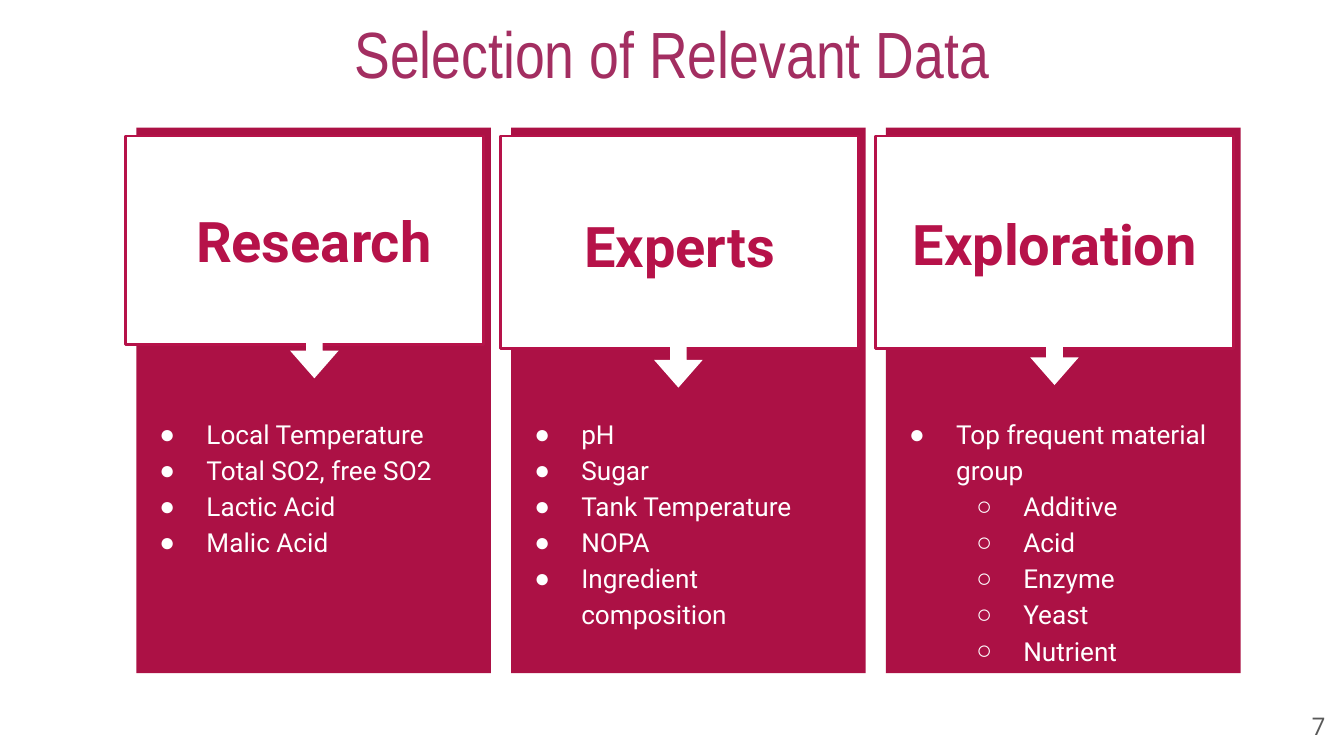
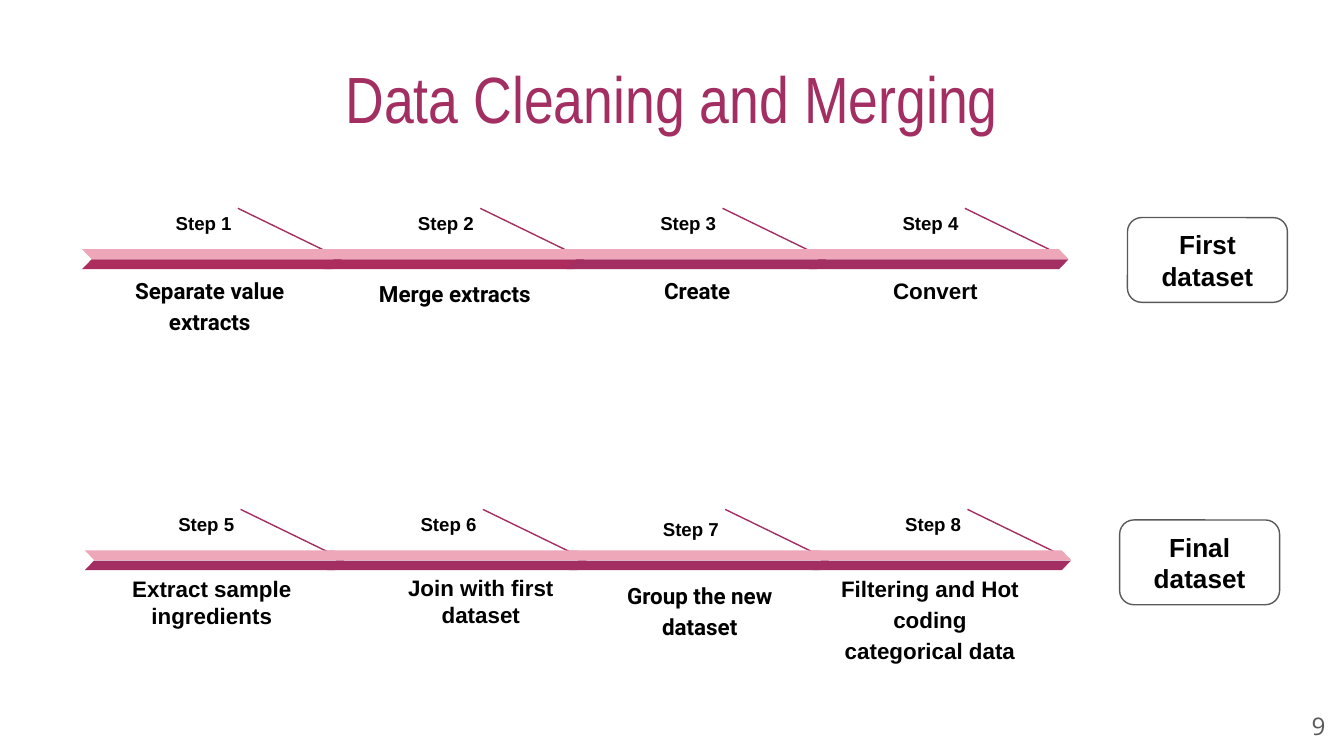
from typing import NamedTuple

from lxml.etree import SubElement
from pptx import Presentation
from pptx.dml.color import RGBColor
from pptx.enum.shapes import MSO_CONNECTOR, MSO_SHAPE
from pptx.enum.text import MSO_ANCHOR, MSO_AUTO_SIZE, PP_ALIGN
from pptx.oxml.ns import qn
from pptx.util import Pt


class Theme:
    PLUM = "A32E61"
    ROSE = "AB2C5D"
    PINK = "EEA7B8"
    WINE = "AC1145"
    CRIMSON = "B61249"
    GRAY = "595959"
    WHITE = "FFFFFF"
    BLACK = "000000"
    TITLE = dict(name="Arial Narrow", size=Pt(35), color=PLUM)
    NUMBER = dict(name="Open Sans", size=Pt(13), color=GRAY)
    CARD_HEAD = dict(name="Roboto", size=Pt(30), bold=True, color=CRIMSON)
    CARD_LIST = dict(name="Roboto", size=Pt(14), bold=False, color=WHITE)
    STEP_LABEL = dict(name="Arial", size=Pt(10), bold=True, color=BLACK)
    CAPTION = dict(name="Arial", size=Pt(12), bold=True, color=BLACK)
    ROBOTO_CAPTION = CAPTION | dict(name="Roboto")
    RESULT = dict(name="Arial", size=Pt(14), bold=True, color=BLACK)


class Box(NamedTuple):
    left: float
    top: float
    width: float
    height: float

    def inner(self, left, top, width, height):
        """Box given by offsets from this one's top left corner."""
        return Box(self.left + left, self.top + top, width, height)

    def lengths(self):
        return [Pt(value) for value in self]


class Card(NamedTuple):
    heading: str
    items: list  # (level, text)
    frame_height: float
    heading_size: tuple
    arrow_offset: tuple


class Step(NamedTuple):
    caption: str
    style: dict
    caption_box: tuple
    spacing: float = 1.15
    lower_color: str = Theme.PLUM
    label_height: float = 8.6


CARDS = [
    Card("Research",
         [(0, "Local Temperature"), (0, "Total SO2, free SO2"),
          (0, "Lactic Acid"), (0, "Malic Acid")],
         111.6, (179.3, 93.6), (81.4, 107.3)),
    Card("Experts",
         [(0, "pH"), (0, "Sugar"), (0, "Tank Temperature"), (0, "NOPA"),
          (0, "Ingredient composition")],
         113.8, (170, 98), (75.6, 112.3)),
    Card("Exploration",
         [(0, "Top frequent material group"), (1, "Additive"), (1, "Acid"),
          (1, "Enzyme"), (1, "Yeast"), (1, "Nutrient")],
         113.8, (170, 96.5), (76.3, 110.9)),
]

FIRST_STEPS = [
    Step("Separate value extracts", Theme.ROBOTO_CAPTION,
         (11.5, 48.2, 113.8, 31), lower_color=Theme.ROSE),
    Step("Merge extracts", Theme.ROBOTO_CAPTION,
         (13, 31.7, 113.8, 32.4), lower_color=Theme.ROSE),
    Step("Create", Theme.ROBOTO_CAPTION, (13, 46.8, 113.8, 15.8)),
    Step("Convert", Theme.CAPTION, (10.8, 46.8, 113.8, 15.8)),
]
FINAL_STEPS = [
    Step("Extract sample ingredients", Theme.CAPTION,
         (-1.4, 37.4, 139, 38.2), spacing=1),
    Step("Join with first dataset", Theme.CAPTION,
         (19.4, 37.4, 126, 37.4), spacing=1),
    Step("Group the new dataset", Theme.ROBOTO_CAPTION,
         (13, 38.9, 113.8, 42.5), label_height=26.6),
    Step("Filtering and Hot coding categorical data", Theme.CAPTION,
         (6.5, 43.9, 113.8, 50.4)),
]


def set_values(target, values):
    for name, value in values.items():
        setattr(target, name, value)


def prepare_frame(frame, anchor=MSO_ANCHOR.TOP):
    margins = {f"margin_{side}": Pt(7.2)
               for side in ("left", "top", "right", "bottom")}
    set_values(frame, margins | dict(word_wrap=True, vertical_anchor=anchor,
                                     auto_size=MSO_AUTO_SIZE.NONE))


def write(paragraph, text, style, **paragraph_format):
    set_values(paragraph, paragraph_format)
    run = paragraph.add_run()
    run.text = text
    set_values(run.font, {key: value for key, value in style.items() if key != "color"})
    run.font.color.rgb = RGBColor.from_string(style["color"])


def add_text(shapes, box, text, style, anchor=MSO_ANCHOR.TOP, **paragraph_format):
    frame = shapes.add_textbox(*box.lengths()).text_frame
    prepare_frame(frame, anchor)
    write(frame.paragraphs[0], text, style, **paragraph_format)


def add_preset(shapes, preset, box, fill=None, line=None, weight=0.75, adjustments=()):
    shape = shapes.add_shape(preset, *box.lengths())
    shape.shadow.inherit = False
    for index, value in enumerate(adjustments):
        shape.adjustments[index] = value
    for paint, color in ((shape.fill, fill), (shape.line.fill, line)):
        if color:
            paint.solid()
            paint.fore_color.rgb = RGBColor.from_string(color)
        else:
            paint.background()
    if line:
        shape.line.width = Pt(weight)
    return shape


def place(shape, box):
    set_values(shape, dict(zip(("left", "top", "width", "height"), box.lengths())))


def set_bullet(paragraph, level):
    properties = paragraph._p.get_or_add_pPr()
    properties.set("marL", str(Pt(36 * (level + 1))))
    properties.set("indent", str(-Pt(25.2)))
    color = SubElement(properties, qn("a:buClr"))
    SubElement(color, qn("a:srgbClr")).set("val", Theme.WHITE)
    SubElement(properties, qn("a:buChar")).set("char", "●○"[level])


def add_base_slide(presentation, layout_name, title, title_top, number):
    """Add a slide with the shared title style and page number."""
    layout = presentation.slide_layouts.get_by_name(layout_name)
    slide = presentation.slides.add_slide(layout)
    place(slide.shapes.title, Box(24.5, title_top, 671, 45.4))
    frame = slide.shapes.title.text_frame
    prepare_frame(frame)
    write(frame.paragraphs[0], title, Theme.TITLE, alignment=PP_ALIGN.CENTER)
    add_text(slide.shapes, Box(673.9, 373.7, 43.2, 31), number, Theme.NUMBER,
             alignment=PP_ALIGN.RIGHT)
    return slide


def fill_list(placeholder, box, items):
    place(placeholder, box)
    placeholder.element.getparent().append(placeholder.element)  # bring to front
    frame = placeholder.text_frame
    prepare_frame(frame)
    for index, (level, text) in enumerate(items):
        paragraph = frame.add_paragraph() if index else frame.paragraphs[0]
        set_bullet(paragraph, level)
        write(paragraph, text, Theme.CARD_LIST, level=level, line_spacing=1.15,
              space_before=Pt(0), alignment=PP_ALIGN.LEFT)


def add_card(slide, box, card, placeholder):
    shapes = slide.shapes
    add_preset(shapes, MSO_SHAPE.RECTANGLE, box, Theme.WINE)
    add_preset(shapes, MSO_SHAPE.RECTANGLE, box.inner(-5.6, 4.5, 191.7, card.frame_height),
               Theme.WHITE, Theme.CRIMSON, 1.5)
    add_text(shapes, box.inner(5.5, 13.7, *card.heading_size), card.heading,
             Theme.CARD_HEAD, MSO_ANCHOR.MIDDLE, alignment=PP_ALIGN.CENTER)
    arrow = add_preset(shapes, MSO_SHAPE.RIGHT_ARROW, box.inner(*card.arrow_offset, 28, 26),
                       Theme.WHITE, adjustments=(0.342, 0.57))
    arrow.rotation = 90
    fill_list(placeholder, box.inner(-5.6, 146.2, 190, 139), card.items)


def build_selection_slide(presentation):
    slide = add_base_slide(presentation, "Comparison", "Selection of Relevant Data", 0, "7")
    *lists, spare = [item for item in slide.placeholders if item.placeholder_format.idx]
    spare.element.getparent().remove(spare.element)
    for index, (card, placeholder) in enumerate(zip(CARDS, lists)):
        add_card(slide, Box(73 + 200.8 * index, 68.4, 190, 292.3), card, placeholder)


def add_step(slide, box, step, number):
    shapes = slide.shapes.add_group_shape().shapes
    add_text(shapes, box.inner(39.6, 0, 47.5, step.label_height), f"Step {number}",
             Theme.STEP_LABEL, alignment=PP_ALIGN.RIGHT, line_spacing=1.15,
             space_after=Pt(16))
    start_x, start_y = box.left + 83.5, box.top + 4.3
    pointer = shapes.add_connector(MSO_CONNECTOR.STRAIGHT, Pt(start_x), Pt(start_y),
                                   Pt(start_x + 54.6), Pt(start_y + 26.6))
    pointer.line.width = Pt(0.75)
    pointer.line.color.rgb = RGBColor.from_string(Theme.PLUM)
    SubElement(pointer.element.spPr, qn("a:effectLst"))
    for top, color in ((26.2, Theme.PINK), (31.7, step.lower_color)):
        bar = add_preset(shapes, MSO_SHAPE.PARALLELOGRAM,
                         box.inner(0, top, box.width, 5.2), color, adjustments=(0.97,))
        if color == Theme.PINK:
            bar.element.spPr.find(qn("a:xfrm")).set("flipH", "1")
    add_text(shapes, box.inner(*step.caption_box), step.caption, step.style,
             MSO_ANCHOR.BOTTOM, alignment=PP_ALIGN.CENTER, line_spacing=step.spacing)


def add_timeline(slide, box, steps, first_number, result, result_offset):
    for index, step in enumerate(steps):
        add_step(slide, box.inner(129.8 * index, 0, 139, box.height), step,
                 first_number + index)
    shape = add_preset(slide.shapes, MSO_SHAPE.ROUNDED_RECTANGLE,
                       box.inner(*result_offset, 85.7, 45.4),
                       line=Theme.GRAY, adjustments=(0.167,))
    prepare_frame(shape.text_frame, MSO_ANCHOR.MIDDLE)
    write(shape.text_frame.paragraphs[0], result, Theme.RESULT, alignment=PP_ALIGN.CENTER)


def build_cleaning_slide(presentation):
    slide = add_base_slide(presentation, "Title Only", "Data Cleaning and Merging", 23.8, "9")
    add_timeline(slide, Box(44, 107.3, 645, 80), FIRST_STEPS, 1, "First dataset", (560, 9.3))
    add_timeline(slide, Box(45.4, 268.6, 645, 95), FINAL_STEPS, 5, "Final dataset", (554.4, 10))


def main():
    presentation = Presentation()
    presentation.slide_width, presentation.slide_height = Pt(720), Pt(405)
    build_selection_slide(presentation)
    build_cleaning_slide(presentation)
    presentation.save("out.pptx")


if __name__ == "__main__":
    main()
